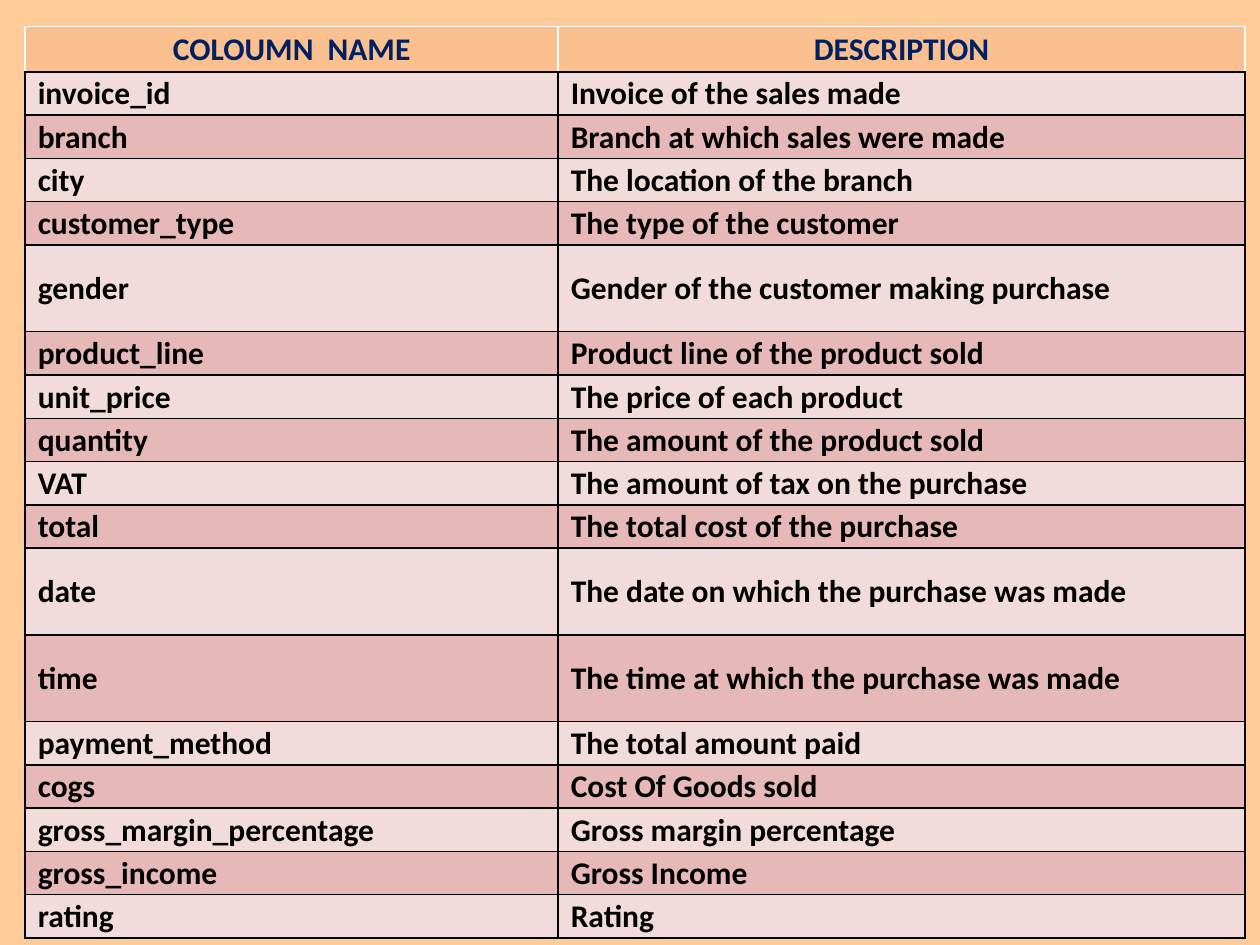
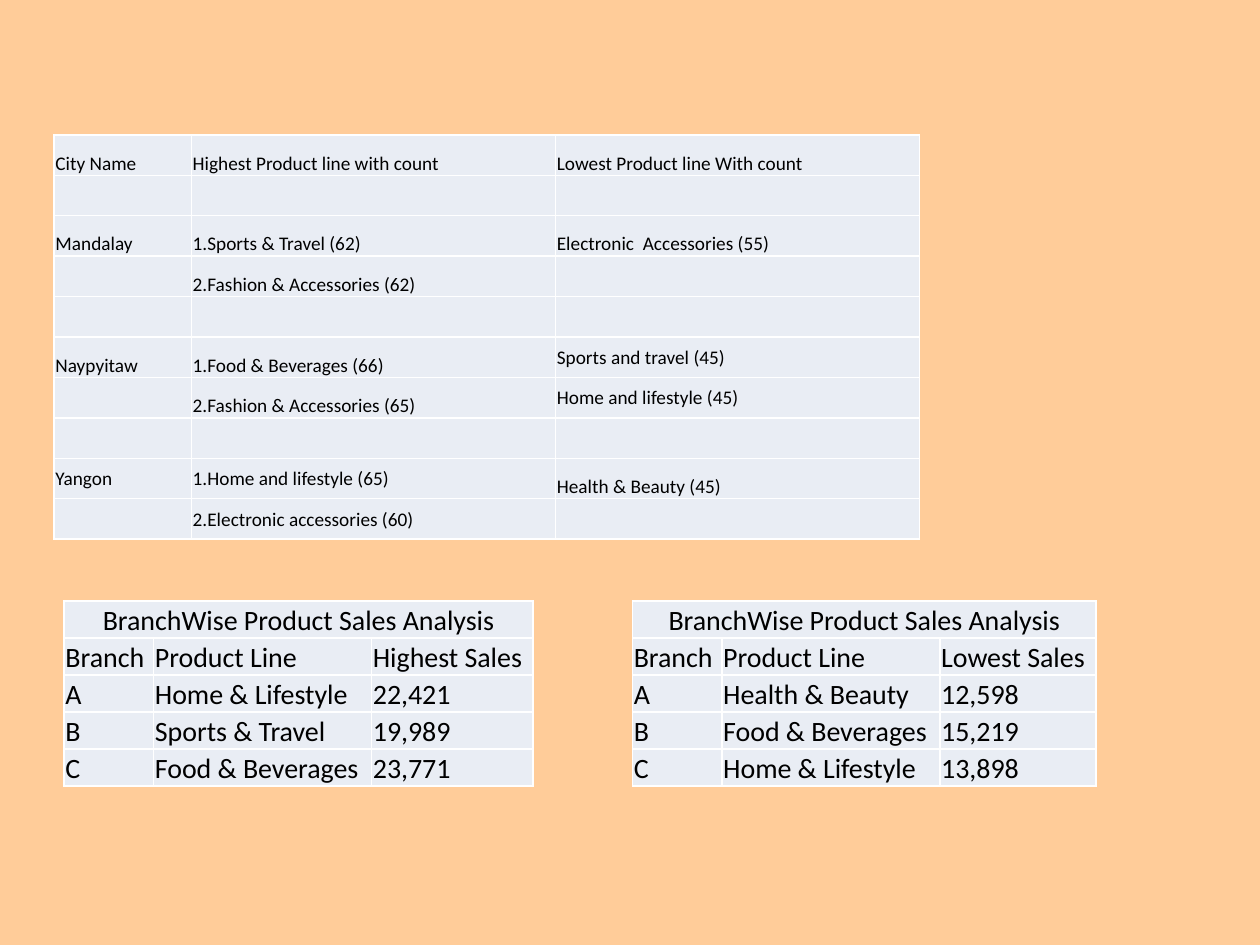
from lxml import etree
from pptx import Presentation
from pptx import util as u
from pptx.dml import color
from pptx.enum import text
from pptx.oxml import ns

COLORS = {
    "background": "FFCC99", "header": "FAC090", "header_text": "002060",
    "light_rose": "F2DCDB", "dark_rose": "E6B9B8", "pale_blue": "E9EDF4",
    "black": "000000", "white": "FFFFFF",
}
FONT = "Calibri"
BOTTOM, MIDDLE = text.MSO_ANCHOR.BOTTOM, text.MSO_ANCHOR.MIDDLE


def rgb(name):
    return color.RGBColor.from_string(COLORS[name])


class Deck:
    """Holds the shared style and the current slide."""

    def __init__(self):
        self.prs = Presentation()
        self.prs.slide_width, self.prs.slide_height = u.Inches(10), u.Inches(7.5)
        self.slide = None

    def new_slide(self):
        self.slide = self.prs.slides.add_slide(self.prs.slide_layouts[6])
        background = self.slide.background.fill
        background.solid()
        background.fore_color.rgb = rgb("background")

    def grid(self, left, top, widths, heights):
        frame = self.slide.shapes.add_table(
            len(heights), len(widths), u.Inches(left), u.Inches(top),
            u.Inches(sum(widths)), u.Inches(sum(heights)))
        table = frame.table
        table.first_row = table.horz_banding = False
        for column, width in zip(table.columns, widths):
            column.width = u.Inches(width)
        for row, height in zip(table.rows, heights):
            row.height = u.Inches(height)
        return table

    def borders(self, cell, line, bottom=None):
        props = cell._tc.get_or_add_tcPr()
        for index, side in enumerate("LRTB"):
            edge = etree.Element(ns.qn(f"a:ln{side}"), w=str(u.Pt(1)))
            fill = etree.SubElement(edge, ns.qn("a:solidFill"))
            name = bottom if side == "B" and bottom else line
            etree.SubElement(fill, ns.qn("a:srgbClr"), val=COLORS[name])
            props.insert(index, edge)

    def cell(self, cell, words, fill, size, ink="black", bold=False, anchor=BOTTOM,
             centered=False, indent=0.01, line="white", bottom=None):
        cell.margin_left = u.Inches(indent)
        cell.margin_right = cell.margin_top = u.Inches(0.01)
        cell.margin_bottom = 0
        cell.vertical_anchor = anchor
        cell.fill.solid()
        cell.fill.fore_color.rgb = rgb(fill)
        self.borders(cell, line, bottom)
        paragraph = cell.text_frame.paragraphs[0]
        if words:
            paragraph.text = words
        if centered:
            paragraph.alignment = text.PP_ALIGN.CENTER
        font = paragraph.font
        font.name, font.size, font.bold = FONT, u.Pt(size), bold
        font.color.rgb = rgb(ink)

    def dictionary(self, left, top, widths, header, entries, tall):
        line_height = 0.344
        heights = [0.36] + [line_height * (2 if name in tall else 1)
                            for name, _ in entries]
        table = self.grid(left, top, widths, heights)
        for c, words in enumerate(header):
            self.cell(table.cell(0, c), words, "header", 18, "header_text", True,
                      MIDDLE, centered=True, bottom="black")
        for r, entry in enumerate(entries, 1):
            fill = "light_rose" if r % 2 else "dark_rose"
            for c, words in enumerate(entry):
                self.cell(table.cell(r, c), words, fill, 18, bold=True,
                          anchor=MIDDLE, indent=0.1, line="black")

    def plain_table(self, left, top, widths, height, rows, size, middle=(), title=None):
        if title:
            rows = [(title,) + ("",) * (len(widths) - 1)] + rows
        table = self.grid(left, top, widths, [height / len(rows)] * len(rows))
        if title:
            table.cell(0, 0).merge(table.cell(0, len(widths) - 1))
        for r, row in enumerate(rows):
            for c, words in enumerate(row):
                self.cell(table.cell(r, c), words, "pale_blue", size,
                          anchor=MIDDLE if words in middle else BOTTOM,
                          centered=bool(title) and r == 0)


COLUMN_ENTRIES = [
    ("invoice_id", "Invoice of the sales made"),
    ("branch", "Branch at which sales were made"),
    ("city", "The location of the branch"),
    ("customer_type", "The type of the customer"),
    ("gender", "Gender of the customer making purchase"),
    ("product_line", "Product line of the product sold"),
    ("unit_price", "The price of each product"),
    ("quantity", "The amount of the product sold"),
    ("VAT", "The amount of tax on the purchase"),
    ("total", "The total cost of the purchase"),
    ("date", "The date on which the purchase was made"),
    ("time", "The time at which the purchase was made"),
    ("payment_method", "The total amount paid"),
    ("cogs", "Cost Of Goods sold"),
    ("gross_margin_percentage", "Gross margin percentage"),
    ("gross_income", "Gross Income"),
    ("rating", "Rating"),
]
GAP = ("", "", "")
CITY_ROWS = [
    ("City Name", "Highest Product line with count", "Lowest Product line With count"),
    GAP,
    ("Mandalay", "1.Sports & Travel (62)", "Electronic  Accessories (55)"),
    ("", "2.Fashion & Accessories (62)", ""),
    GAP,
    ("Naypyitaw", "1.Food & Beverages (66)", "Sports and travel (45)"),
    ("", "2.Fashion & Accessories (65)", "Home and lifestyle (45)"),
    GAP,
    ("Yangon", "1.Home and lifestyle (65)", "Health & Beauty (45)"),
    ("", "2.Electronic accessories (60)", ""),
]
CITY_MIDDLE = {"Sports and travel (45)", "Home and lifestyle (45)", "Yangon",
               "1.Home and lifestyle (65)", "2.Electronic accessories (60)"}
# left edge, last column width, heading of the sales column, rows
BRANCH_TABLES = [
    (0.51, 1.28, "Highest Sales", [("A", "Home & Lifestyle", "22,421"),
                                   ("B", "Sports & Travel", "19,989"),
                                   ("C", "Food & Beverages", "23,771")]),
    (5.02, 1.24, "Lowest Sales", [("A", "Health & Beauty", "12,598"),
                                  ("B", "Food & Beverages", "15,219"),
                                  ("C", "Home & Lifestyle", "13,898")]),
]


def main():
    deck = Deck()

    # Data dictionary
    deck.new_slide()
    deck.dictionary(0.2, 0.21, [4.23, 5.45], ("COLOUMN  NAME", "DESCRIPTION"),
                    COLUMN_ENTRIES, tall={"gender", "date", "time"})

    # Product lines by city and by branch
    deck.new_slide()
    deck.plain_table(0.43, 1.07, [1.09, 2.89, 2.89], 3.21, CITY_ROWS, 11, CITY_MIDDLE)
    for left, sales_width, heading, rows in BRANCH_TABLES:
        deck.plain_table(left, 4.77, [0.71, 1.73, sales_width], 1.47,
                         [("Branch", "Product Line", heading)] + rows, 16,
                         title="BranchWise Product Sales Analysis")

    deck.prs.save("out.pptx")


if __name__ == "__main__":
    main()
